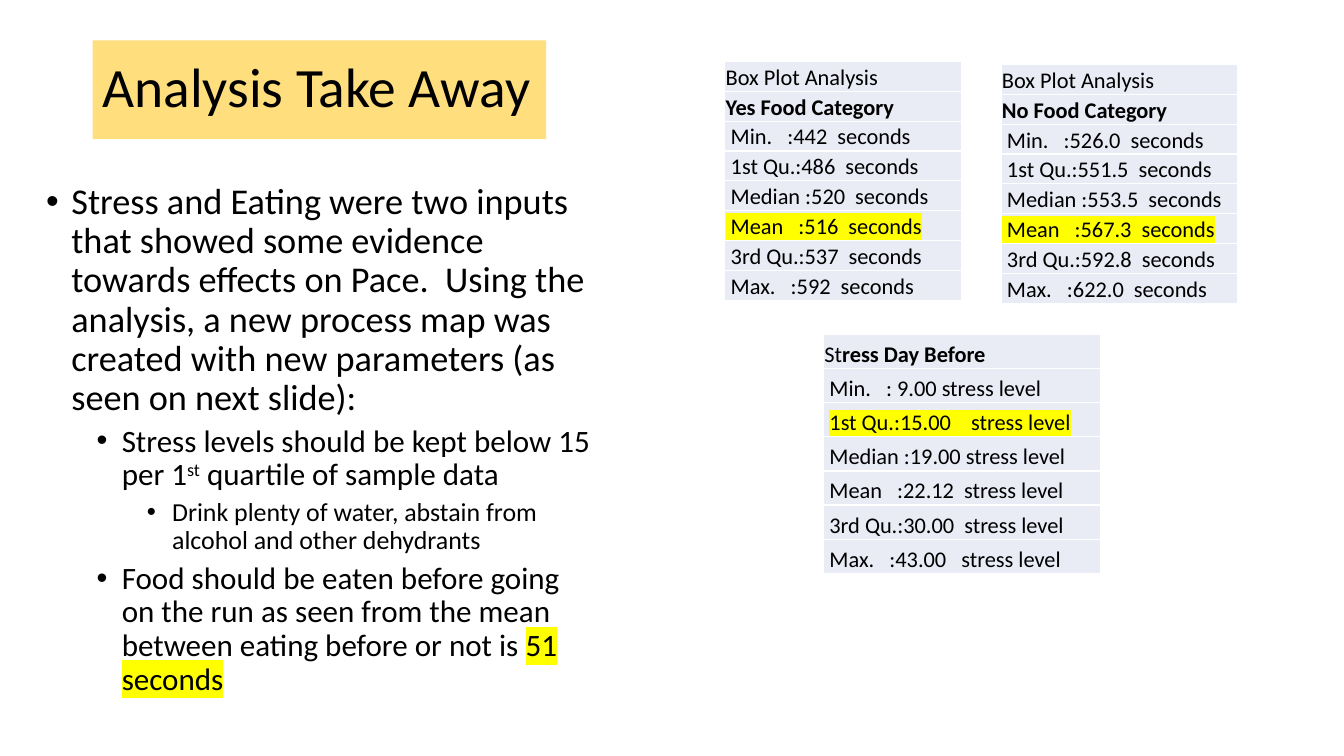
"""Build the Analysis Take Away slide with its notes and summary tables."""
from typing import NamedTuple

from lxml.etree import SubElement
from pptx import Presentation
from pptx.dml.color import RGBColor
from pptx.enum.shapes import MSO_SHAPE as Shape
from pptx.enum.text import MSO_ANCHOR as Anchor, PP_ALIGN as Align
from pptx.oxml import parse_xml
from pptx.oxml.ns import nsdecls, qn
from pptx.util import Pt

BLACK, WHITE, GOLD, PALE, MARK = "000000", "FFFFFF", "FFC000", "E9EBF5", "FFFF00"


class Bit(NamedTuple):
    text: str
    bold: bool = False
    mark: bool = False
    rise: bool = False


class Point(NamedTuple):
    level: int
    bits: list[Bit]


class Grid(NamedTuple):
    left: float
    top: float
    width: float
    rows: list[list[Bit]]


POINTS = [
    Point(0, [Bit("Stress and Eating were two inputs that showed some evidence "
                  "towards effects on Pace.  Using the analysis, a new process map "
                  "was created with new parameters (as seen on next slide):")]),
    Point(1, [Bit("Stress levels should be kept below 15 per 1"),
              Bit("st", rise=True), Bit(" quartile of sample data")]),
    Point(2, [Bit("Drink plenty of water, abstain from alcohol and other dehydrants")]),
    Point(1, [Bit("Food should be eaten before going on the run as seen from the "
                  "mean between eating before or not is "),
              Bit("51 seconds", mark=True)]),
]
SIZES = [25.9, 22.2, 18.5]
LABELS = ["Min.   :", "1st Qu.:", "Median :", "Mean   :", "3rd Qu.:", "Max.   :"]


def food(head: str, times: list[str]) -> list[list[Bit]]:
    stats = [[Bit(f" {label}{time}  seconds", mark=label.startswith("Mean"))]
             for label, time in zip(LABELS, times)]
    return [[Bit("Box Plot Analysis")], [Bit(head, bold=True)], *stats]


def stress() -> list[list[Bit]]:
    tails = [" 9.00 stress level", "15.00    stress level", "19.00 stress level",
             "22.12  stress level", "30.00  stress level", "43.00   stress level"]
    stats = [[Bit(" "), Bit(label + tail, mark=label.startswith("1st"))]
             for label, tail in zip(LABELS, tails)]
    return [[Bit("St"), Bit("ress Day Before", bold=True)], *stats]


GRIDS = [
    Grid(517.7, 43.9, 169.2, food("Yes Food Category",
                                  ["442", "486", "520", "516", "537", "592"])),
    Grid(715, 46.1, 169.2, food("No Food Category",
                                ["526.0", "551.5", "553.5", "567.3", "592.8", "622.0"])),
    Grid(588.2, 239, 198, stress()),
]


def tint(code: str) -> RGBColor:
    return RGBColor.from_string(code)


def write(para, text: str, *, size: float, bold: bool = False,
          mark: bool = False, rise: bool = False) -> None:
    run = para.add_run()
    run.text = text
    font = run.font
    font.size, font.bold, font.name = Pt(size), bold, "Calibri"
    font.color.rgb = tint(BLACK)
    props = run._r.get_or_add_rPr()
    if rise:
        props.set("baseline", "30000")
    if mark:
        props.find(qn("a:solidFill")).addnext(parse_xml(
            f'<a:highlight {nsdecls("a")}><a:srgbClr val="{MARK}"/></a:highlight>'))


def fill_para(para, bits: list[Bit], size: float) -> None:
    para.alignment = Align.LEFT
    for bit in bits:
        write(para, size=size, **bit._asdict())


def add_title(slide) -> None:
    box = slide.shapes.add_shape(Shape.RECTANGLE, Pt(66.2), Pt(28.8), Pt(324), Pt(70.6))
    box.shadow.inherit = False
    box.line.fill.background()
    box.fill.solid()
    box.fill.fore_color.rgb = tint(GOLD)
    color = box._element.spPr.find(qn("a:solidFill"))[0]
    SubElement(color, qn("a:alpha"), val="51000")
    frame = box.text_frame
    frame.word_wrap, frame.vertical_anchor = True, Anchor.MIDDLE
    para = frame.paragraphs[0]
    para.line_spacing = 0.9
    fill_para(para, [Bit("Analysis Take Away")], 39.6)


def add_notes(slide) -> None:
    frame = slide.shapes.add_textbox(Pt(25.9), Pt(127.4), Pt(404), Pt(383.8)).text_frame
    frame.word_wrap = True
    for i, point in enumerate(POINTS):
        para = frame.add_paragraph() if i else frame.paragraphs[0]
        para.level = point.level
        para.line_spacing = 0.9
        para.space_before = Pt(5 if point.level else 10)
        props = para._p.get_or_add_pPr()
        props.set("marL", str(Pt(18 + 36 * point.level)))
        props.set("indent", str(-Pt(18)))
        SubElement(props, qn("a:buFont"), typeface="Arial")
        SubElement(props, qn("a:buChar"), char="•")
        fill_para(para, point.bits, SIZES[point.level])


def style(cell) -> None:
    cell.margin_left = cell.margin_right = cell.margin_top = Pt(0.7)
    cell.margin_bottom = Pt(0)
    cell.vertical_anchor = Anchor.BOTTOM
    props = cell._tc.get_or_add_tcPr()
    for side in "LRTB":
        edge = SubElement(props, qn(f"a:ln{side}"), w=str(Pt(1)))
        SubElement(SubElement(edge, qn("a:solidFill")), qn("a:srgbClr"), val=WHITE)
    cell.fill.solid()
    cell.fill.fore_color.rgb = tint(PALE)


def add_grid(slide, grid: Grid) -> None:
    high = 170.6
    table = slide.shapes.add_table(len(grid.rows), 1, Pt(grid.left), Pt(grid.top),
                                   Pt(grid.width), Pt(high)).table
    table.first_row = table.horz_banding = False
    for i, bits in enumerate(grid.rows):
        table.rows[i].height = Pt(high / len(grid.rows))
        cell = table.cell(i, 0)
        style(cell)
        fill_para(cell.text_frame.paragraphs[0], bits, 16)


def main() -> None:
    deck = Presentation()
    deck.slide_width, deck.slide_height = Pt(960), Pt(540)
    slide = deck.slides.add_slide(deck.slide_layouts[6])
    add_notes(slide)
    add_title(slide)
    for grid in GRIDS:
        add_grid(slide, grid)
    deck.save("out.pptx")


if __name__ == "__main__":
    main()
